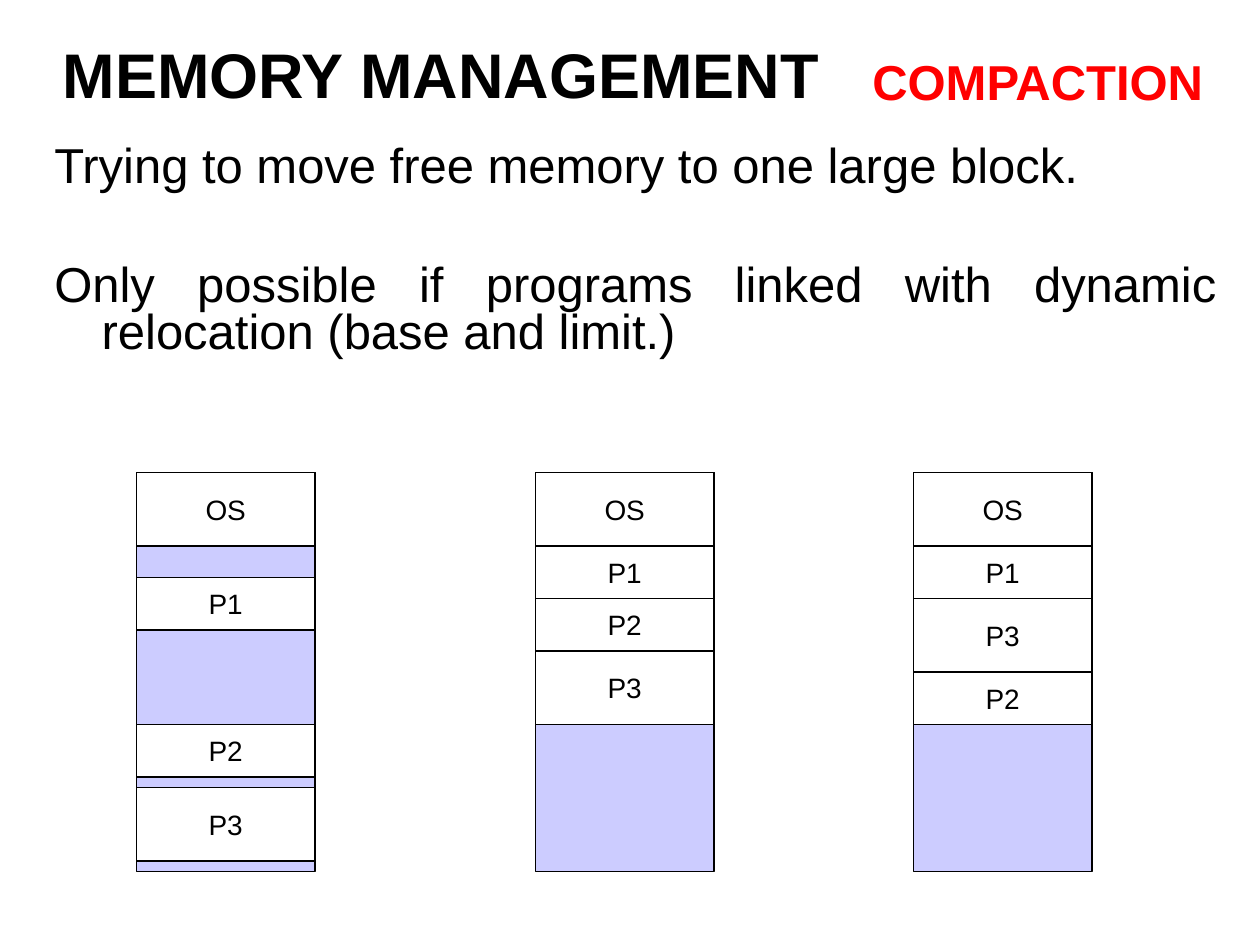
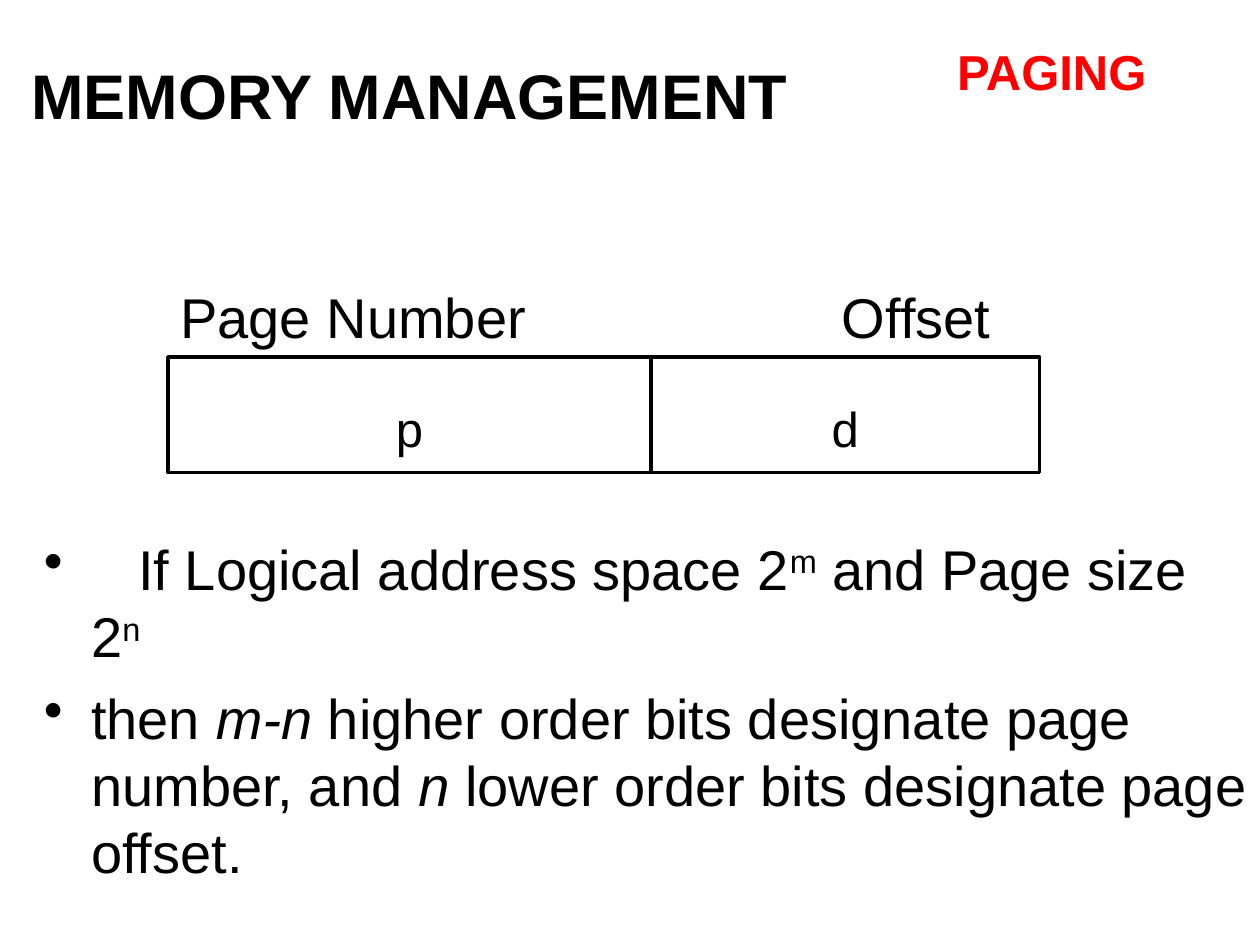
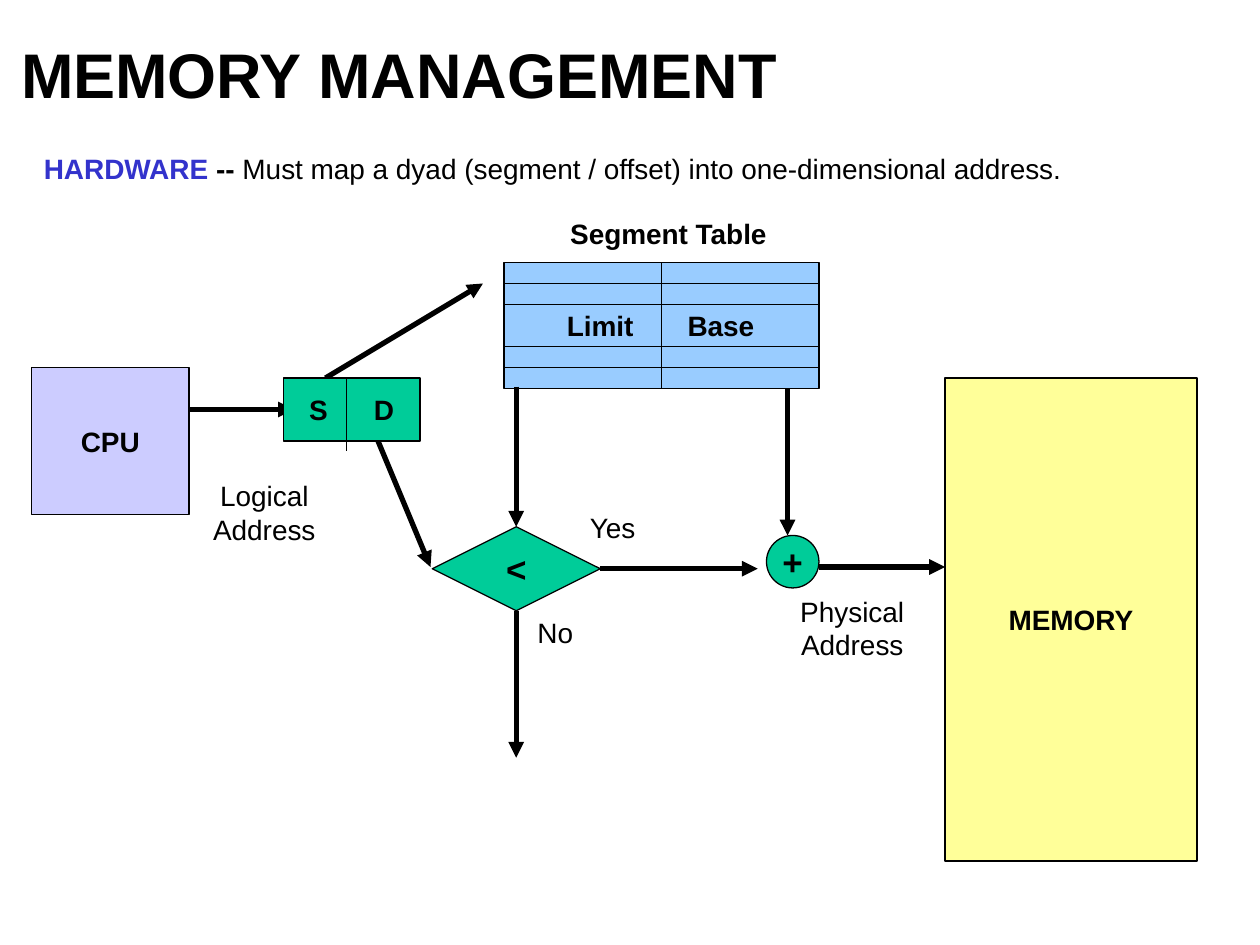
from pptx import Presentation
from pptx.dml.color import RGBColor as Rgb
from pptx.enum.shapes import MSO_CONNECTOR as Link, MSO_SHAPE as Form
from pptx.enum.text import MSO_ANCHOR as Anchor, PP_ALIGN as Align
from pptx.oxml.ns import qn
from pptx.util import Pt
from lxml.etree import SubElement as Sub

HUES = {
    "black": "000000", "white": "FFFFFF", "red": "FF0000", "blue": "3333CC",
    "lilac": "CCCCFF", "sky": "99CCFF", "green": "00CC99", "yellow": "FFFF99",
}
FACE = "Arial"
TITLE = "MEMORY MANAGEMENT"


def hue(name):
    return Rgb.from_string(HUES[name])


class Deck:
    def __init__(self):
        self.prs = Presentation()
        self.prs.slide_width, self.prs.slide_height = Pt(720), Pt(540)
        self.slide = None

    def page(self, width, height=60, topic=None, mid=0, top=0):
        self.slide = self.prs.slides.add_slide(self.prs.slide_layouts[6])
        self.text((0, 12, width, height), [TITLE], 36, bold=True,
                  align=Align.CENTER, anchor=Anchor.MIDDLE)
        if topic:
            self.text((mid - 108, top, 216, 41), [topic], 28, bold=True,
                      color="red", align=Align.CENTER)

    def fill(self, frame, lines, size, bold=False, color="black",
             align=Align.LEFT, gap=0, lead=None, hang=0, dot=False):
        frame.word_wrap = True
        for n, line in enumerate(lines):
            para = frame.paragraphs[0] if n == 0 else frame.add_paragraph()
            para.alignment = align
            if n:
                para.space_before = Pt(gap)
            if lead:
                para.line_spacing = lead
            if hang:
                self.indent(para, hang, dot)
            font = para.font
            font.name, font.size, font.bold = FACE, Pt(size), bold
            font.color.rgb = hue(color)
            for part in [line] if isinstance(line, str) else line:
                self.run(para, *([part] if isinstance(part, str) else part))

    def indent(self, para, hang, dot):
        props = para._p.get_or_add_pPr()
        props.set("marL", str(Pt(hang)))
        props.set("indent", str(-Pt(hang)))
        if dot:
            Sub(props, qn("a:buChar"), char="•")
            tabs = Sub(props, qn("a:tabLst"))
            for step in (1, 2):
                Sub(tabs, qn("a:tab"), pos=str(Pt(hang * step)), algn="l")

    def run(self, para, words, style=None):
        run = para.add_run()
        run.text = words
        if style == "super":
            run._r.get_or_add_rPr().set("baseline", "30000")
        elif style == "italic":
            run.font.italic = True
        elif style:
            run.font.bold = True
            run.font.color.rgb = hue(style)

    def text(self, at, lines, size=16, anchor=Anchor.TOP, **look):
        frame = self.slide.shapes.add_textbox(*map(Pt, at)).text_frame
        frame.vertical_anchor = anchor
        self.fill(frame, lines, size, **look)

    def box(self, at, color, label="", size=16, bold=True, form=Form.RECTANGLE,
            edge=0.75, drop=None):
        shape = self.slide.shapes.add_shape(form, *map(Pt, at))
        shape.shadow.inherit = False
        shape.fill.solid()
        shape.fill.fore_color.rgb = hue(color)
        shape.line.color.rgb = hue("black")
        shape.line.width = Pt(edge)
        if label:
            frame = shape.text_frame
            frame.margin_left = frame.margin_right = 0
            frame.margin_top = frame.margin_bottom = Pt(0)
            frame.vertical_anchor = Anchor.MIDDLE
            if drop:
                frame.vertical_anchor = Anchor.TOP
                frame.margin_top = Pt(drop)
            self.fill(frame, [label], size, bold, align=Align.CENTER)

    def line(self, *ends, arrow=False):
        link = self.slide.shapes.add_connector(Link.STRAIGHT, *map(Pt, ends))
        link.line.color.rgb = hue("black")
        link.line.width = Pt(3 if arrow else 0.75)
        if arrow:
            Sub(link.line._get_or_add_ln(), qn("a:tailEnd"), type="triangle")
        Sub(link._element.spPr, qn("a:effectLst"))


def compact(deck):
    deck.page(504, topic="COMPACTION", mid=593, top=26)
    deck.text((24, 80, 678, 174), [
        "Trying to move free memory to one large block.",
        "Only possible if programs linked with dynamic relocation "
        "(base and limit.)",
    ], 28, align=Align.JUSTIFY, gap=41, lead=0.8, hang=27)
    sizes = {"OS": 42, "P1": 30, "P2": 30, "P3": 42}
    stacks = [
        (78, {"OS": 0, "P1": 18, "P2": 54, "P3": 6}),
        (306, dict.fromkeys(["OS", "P1", "P2", "P3"], 0)),
        (522, dict.fromkeys(["OS", "P1", "P3", "P2"], 0)),
    ]
    for left, gaps in stacks:
        top = 270
        deck.box((left, top, 102, 228), "lilac")
        for name, gap in gaps.items():
            top += gap
            deck.box((left, top, 102, sizes[name]), "white", name, bold=False)
            top += sizes[name]


def paging(deck):
    deck.page(468, 84, topic="PAGING", mid=601, top=20)
    fields = [
        ("Page Number", 96, "p", 96, 276),
        ("Offset", 474, "d", 372, 222),
    ]
    for head, start, sign, left, width in fields:
        deck.text((start, 158, 240, 44), [head], 32)
        deck.box((left, 204, width, 66), "white", sign, 28, False,
                 edge=2, drop=24)
    deck.text((18, 302, 702, 181), [
        ["\tIf Logical address space 2", ("m", "super"),
         " and Page size 2", ("n", "super")],
        ["then ", ("m-n", "italic"),
         " higher order bits designate page number, and ", ("n", "italic"),
         " lower order bits designate page offset."],
    ], 32, gap=8, hang=27, dot=True)


def hardware(deck):
    deck.page(456)
    deck.text((18, 85, 678, 36), [[
        ("HARDWARE", "blue"), (" -- ", "black"),
        "Must map a dyad (segment / offset) into one-dimensional address.",
    ]], align=Align.JUSTIFY, lead=0.9)

    deck.box((18, 210, 90, 84), "lilac", "CPU")
    deck.box((540, 216, 144, 276), "yellow", "MEMORY")
    deck.box((288, 150, 180, 72), "sky")
    deck.box((438, 306, 30, 30), "green", "+", 20, form=Form.OVAL)
    deck.box((247, 301, 96, 48), "green", "<", 20,
             form=Form.FLOWCHART_DECISION)

    arrows = [
        (108, 234, 168, 234), (343, 325, 433, 325), (468, 324, 540, 324),
        (295, 349, 295, 433), (295, 221, 295, 301), (450, 222, 450, 306),
        (216, 252, 246, 324), (186, 216, 276, 162),
    ]
    for ends in arrows:
        deck.line(*ends, arrow=True)

    deck.line(378, 150, 378, 222)
    for row in (162, 174, 198, 210):
        deck.line(288, row, 468, row)
    deck.box((162, 216, 78, 36), "green")
    deck.line(198, 216, 198, 258)

    names = [
        ("Limit", 343, 172.5), ("Base", 412, 172.5),
        ("S", 182, 220.5), ("D", 219.5, 220.5), ("Segment Table", 382, 120),
    ]
    for name, mid, top in names:
        deck.text((mid - 72, top, 144, 27), [name], bold=True,
                  align=Align.CENTER)
    for name, left, top in [("No", 300, 348), ("Yes", 330, 288)]:
        deck.text((left, top, 48, 27), [name])
    for name, left, top in [("Logical", 114, 270), ("Physical", 450, 336)]:
        deck.text((left, top, 74, 46), [name, "Address"], align=Align.CENTER)


def main():
    deck = Deck()
    for build in (compact, paging, hardware):
        build(deck)
    deck.prs.save("out.pptx")


if __name__ == "__main__":
    main()
